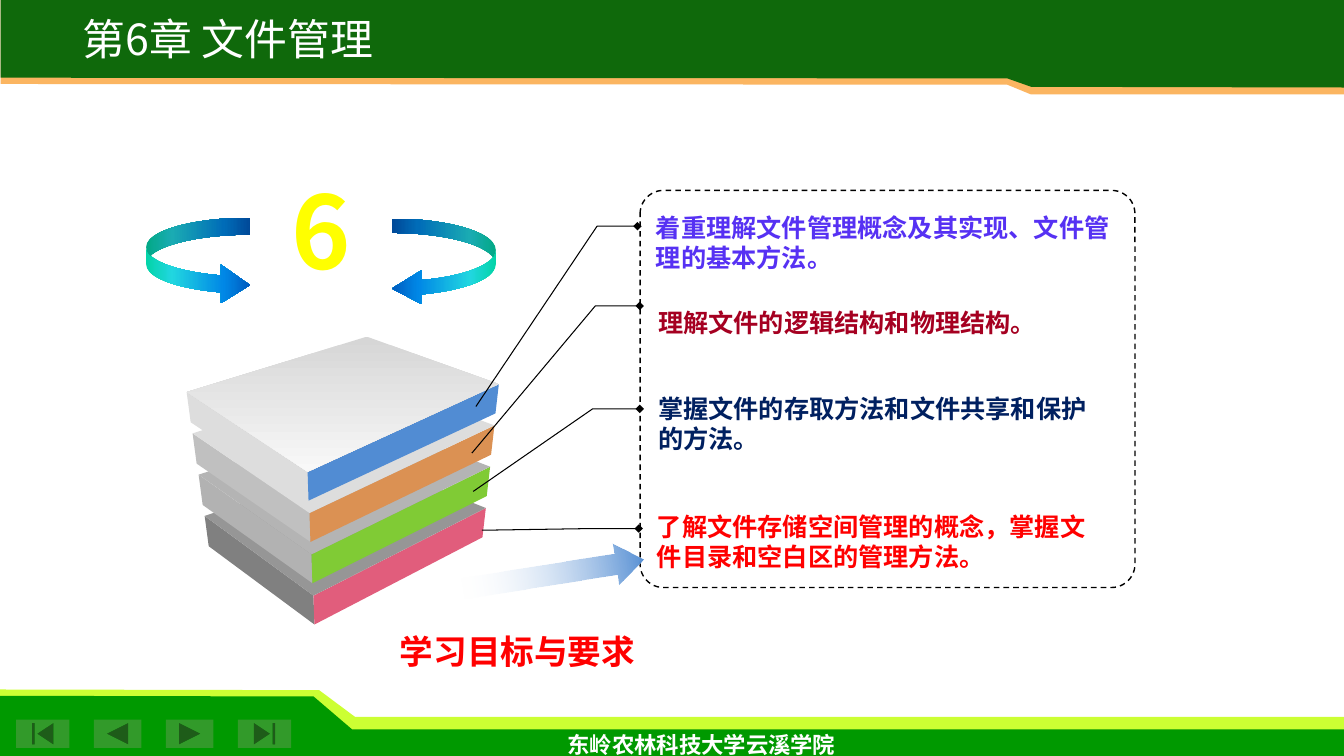
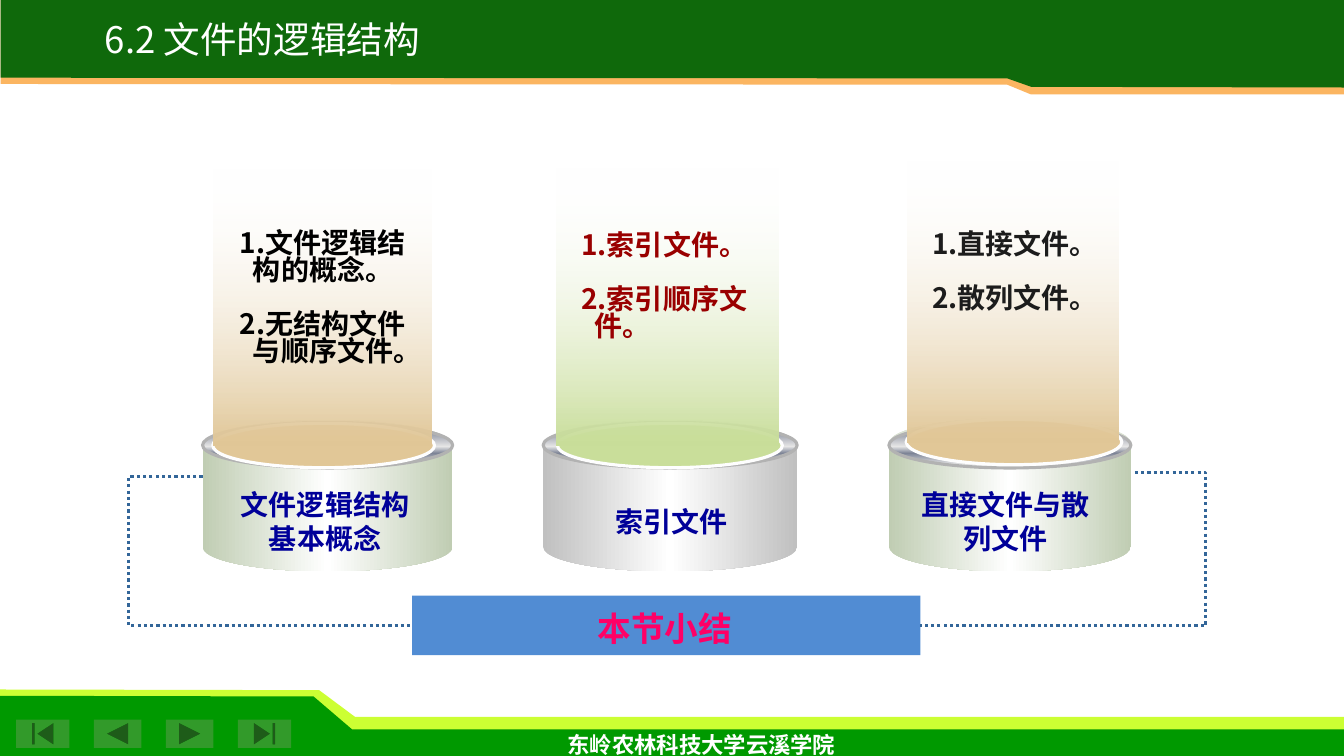
from lxml.etree import SubElement
from pptx import Presentation
from pptx.dml.color import RGBColor
from pptx.enum.dml import MSO_LINE
from pptx.enum.shapes import MSO_CONNECTOR, MSO_SHAPE
from pptx.enum.text import MSO_ANCHOR, PP_ALIGN
from pptx.oxml.ns import qn
from pptx.util import Pt

CJK_FONT = "Noto Sans CJK SC"
BLUE, WHITE, BLACK, RED = "518CD3", "FFFFFF", "000000", "FF0000"
LINE_FACTOR = 1.2

# Shared frame
FOOTER = "东岭农林科技大学云溪学院"
BANDS = [
    ("CCFF33", [(0, 492.5), (228, 493), (253.5, 512), (960, 512), (960, 533), (0, 533)]),
    ("009900", [(0, 497), (224, 497.5), (251.5, 521), (960, 521), (960, 540), (0, 540)]),
    ("FBB561", [(0.5, 0), (960, 0), (960, 67.5), (736.5, 67.5), (719.5, 60.5), (0.5, 60)]),
    ("0F690B", [(0.5, 0), (960, 0), (960, 62.5), (736.5, 62), (719.5, 56), (0.5, 55.5)]),
]
NAV_BUTTONS = [
    (MSO_SHAPE.ACTION_BUTTON_BEGINNING, 11.5, 38),
    (MSO_SHAPE.ACTION_BUTTON_BACK_OR_PREVIOUS, 67, 34),
    (MSO_SHAPE.ACTION_BUTTON_FORWARD_OR_NEXT, 118.5, 34),
    (MSO_SHAPE.ACTION_BUTTON_END, 170, 38),
]

# Slide 1: left, right and top face colours, bottom book first
BOOKS = [
    ("808080", "E15D7C", "969696"),
    ("B2B2B2", "80CB35", "B4B4B4"),
    ("C0C0C0", "DB9153", "DDDDDD"),
    ("DDDDDD", BLUE, [(0, "D6D6D6"), (100, "F8F8F8")]),
]
BOOK_STEP = 29.5
GOALS = [
    ("着重理解文件管理概念及其实现、文件管理的基本方法。", "5631F3",
     (461.5, 152.6, 343.4, 37.4), (0.24, -0.018, 0.24, -0.102, 3.685, -0.354)),
    ("理解文件的逻辑结构和物理结构。", "A50021",
     (463, 209.5, 337.7, 38.2), (0.237, -0.018, 0.237, -0.112, 2.988, -0.373)),
    ("掌握文件的存取方法和文件共享和保护的方法。", "002060",
     (463, 283, 337, 35.3), (0.257, -0.018, 0.257, -0.118, 1.927, -0.371)),
    ("了解文件存储空间管理的概念，掌握文件目录和空白区的管理方法。", RED,
     (462.2, 368.6, 331.2, 32.4), (0.277, -0.018, 0.277, -0.12, 0.314, -0.356)),
]
SWIRL = [(0, "03D4A8"), (25, "21D6E0"), (75, "0087E6"), (100, "005CBF")]
SWIRL_ARROWS = [
    ((104.4, 155.5, 74.2, 62), (0.196, 0.447, 0.336), False),
    ((280, 156.2, 74.2, 62), (0.165, 0.39, 0.339), True),
]

# Slide 2
METAL = [(0, "E6E6E6"), (15, "7D8496"), (53, "E6E6E6"), (68, "7D8496"),
         (93, "E6E6E6"), (100, WHITE)]
COLUMNS = [
    dict(can=(144.7, 300.2, 178.6, 108), edge="C0CDB3", beam="E1C797",
         plug=(152, 302.4, 158.4, 31.7), light=(152.6, 119.5, 155.5, 198.7),
         items=["文件逻辑结构的概念。", "无结构文件与顺序文件。"], ink=BLACK,
         list_box=(164.2, 162, 147.6, 142),
         label="文件逻辑结构基本概念", label_box=(158.4, 345, 147.6, 55)),
    dict(can=(388, 300.2, 181.4, 108), edge="C0C0C0", beam="C9DE9A",
         plug=(398.2, 302.4, 160.6, 31.7), light=(397.4, 119.5, 158.4, 198.7),
         items=["索引文件。", "索引顺序文件。"], ink="990000",
         list_box=(408.2, 163.5, 151.2, 104),
         label="索引文件", label_box=(372.2, 357, 215.3, 32)),
    dict(can=(635, 298.8, 172.8, 109.4), edge="C0CDB3", beam="E1C797",
         plug=(647.3, 299.5, 154, 32.4), light=(648, 114.5, 151.2, 201.6),
         items=["直接文件。", "散列文件。"], ink="1C1C1C",
         list_box=(658.8, 162.7, 136, 104),
         label="直接文件与散列文件", label_box=(642.2, 345, 152.6, 55)),
]
DOTTED_LINKS = [((144.7, 340.6), (294.5, 447), -0.353),
                ((810.7, 337.7), (657.4, 447), -0.33)]


def rgb(color):
    return RGBColor.from_string(color)


def paint(sp, fill=None, line=None, width=1, angle=90):
    """Fill with a hex colour or with (position, colour[, alpha]) stops; outline if given."""
    sp.shadow.inherit = False
    if fill is None:
        sp.fill.background()
    elif isinstance(fill, str):
        sp.fill.solid()
        sp.fill.fore_color.rgb = rgb(fill)
    else:
        sp.fill.gradient()
        grad = sp.element.spPr.find(qn("a:gradFill"))
        stops = grad.find(qn("a:gsLst"))
        for old in list(stops):
            stops.remove(old)
        for position, color, *alpha in fill:
            stop = SubElement(stops, qn("a:gs"), pos=str(position * 1000))
            tint = SubElement(stop, qn("a:srgbClr"), val=color)
            for a in alpha:
                SubElement(tint, qn("a:alpha"), val=str(a * 1000))
        grad.find(qn("a:lin")).set("ang", str(angle * 60000))
    if line:
        sp.line.color.rgb = rgb(line)
        sp.line.width = Pt(width)
    else:
        sp.line.fill.background()


def add_preset(slide, kind, box, fill=None, adj=(), **style):
    sp = slide.shapes.add_shape(kind, *map(Pt, box))
    for i, value in enumerate(adj):
        sp.adjustments[i] = value
    paint(sp, fill, **style)
    return sp


def add_polygon(slide, points, fill):
    first, *rest = [(Pt(x), Pt(y)) for x, y in points]
    builder = slide.shapes.build_freeform(*first)
    builder.add_line_segments(rest, close=True)
    paint(builder.convert_to_shape(), fill)


def write(p, text, size, color, font="Arial", bold=True, align=PP_ALIGN.CENTER,
          factor=LINE_FACTOR):
    p.alignment = align
    p.line_spacing = Pt(size * factor)
    r = p.add_run()
    r.text = text
    r.font.name, r.font.size, r.font.bold = font, Pt(size), bold
    r.font.color.rgb = rgb(color)
    SubElement(r.font._element, qn("a:ea"), typeface=CJK_FONT)


def add_frame(slide, box):
    tf = slide.shapes.add_textbox(*map(Pt, box)).text_frame
    tf.word_wrap = True
    return tf


def add_text(slide, box, text, size, color, **style):
    write(add_frame(slide, box).paragraphs[0], text, size, color, **style)


def add_numbered(slide, box, items, color):
    size, factor = 20, 0.965
    tf = add_frame(slide, box)
    for i, item in enumerate(items):
        p = tf.add_paragraph() if i else tf.paragraphs[0]
        write(p, item, size, color, align=PP_ALIGN.LEFT, factor=factor)
        if i:
            p.space_before = Pt(size * factor)
        props = p._p.get_or_add_pPr()
        props.set("marL", str(Pt(9.4)))
        props.set("indent", str(-Pt(9.4)))
        SubElement(props, qn("a:buFont"), typeface=CJK_FONT)
        SubElement(props, qn("a:buAutoNum"), type="arabicPeriod")


def add_base_slide(prs, title, size, box):
    """Blank slide with the bands, navigation buttons, footer and title."""
    slide = prs.slides.add_slide(prs.slide_layouts[6])
    for color, points in BANDS:
        add_polygon(slide, points, color)
    for kind, x, w in NAV_BUTTONS:
        add_preset(slide, kind, (x, 514, w, 20.2), "329A2A")
    add_text(slide, (298.8, 519, 404.6, 21), FOOTER, 16, WHITE, font="Times New Roman")
    add_text(slide, box, title, size, WHITE, font=CJK_FONT, bold=False)
    return slide


def add_book(slide, level, colors):
    rise = level * BOOK_STEP
    left = (146.2 - 4.3 * level, 368.6 - rise)
    front = (223.9 - 1.4 * level, 425.5 - rise)
    right = (347 + 3.1 * level, 362.9 - rise)
    back = (262, 329 - rise)
    front_low = (front[0] + 0.7, front[1] + 20.6)
    left_low = (left[0] + 2.9, left[1] + 21.6)
    right_low = (right[0] - 2.4, right[1] + 20.9)
    faces = [(left, left_low, front_low, front),
             (front, right, right_low, front_low),
             (front, left, back, right)]
    for points, color in zip(faces, colors):
        add_polygon(slide, points, color)


def add_goal(slide, text, color, box, adj):
    sp = add_preset(slide, MSO_SHAPE.LINE_CALLOUT_2_NO_BORDER, box, adj=adj,
                    line=BLACK, width=0.75)
    SubElement(sp.element.spPr.find(qn("a:ln")), qn("a:headEnd"), type="diamond")
    tf = sp.text_frame
    tf.word_wrap = True
    tf.vertical_anchor = MSO_ANCHOR.MIDDLE
    tf.margin_top = Pt(7.6)
    write(tf.paragraphs[0], text, 18, color, align=PP_ALIGN.LEFT)


def build_goals(prs):
    slide = add_base_slide(prs, "第6章 文件管理", 30.6, (26.6, 5.3, 272, 40))
    for level, colors in enumerate(BOOKS):
        add_book(slide, level, colors)
    panel = add_preset(slide, MSO_SHAPE.ROUNDED_RECTANGLE, (457.2, 136, 353.5, 283.7),
                       WHITE, adj=[0.059], line=BLACK)
    panel.line.dash_style = MSO_LINE.DASH
    for goal in GOALS:
        add_goal(slide, *goal)
    pointer = add_preset(slide, MSO_SHAPE.UP_ARROW, (380.2, 344.9, 29.5, 130.3),
                         [(0, BLUE), (100, WHITE, 0)], adj=(0.502, 0.685))
    pointer.rotation = 81
    add_text(slide, (259.2, 447, 221, 36), "学习目标与要求", 24, RED)
    add_text(slide, (172.8, 117, 113, 94), "6", 72, "FFFF00", font=CJK_FONT)
    for box, adj, flipped in SWIRL_ARROWS:
        arrow = add_preset(slide, MSO_SHAPE.CURVED_RIGHT_ARROW, box, SWIRL, adj, angle=0)
        if flipped:
            arrow.element.spPr.find(qn("a:xfrm")).set("flipH", "1")


def add_dotted_link(slide, start, end, bend):
    link = slide.shapes.add_connector(MSO_CONNECTOR.ELBOW, *map(Pt, start + end))
    link.line.color.rgb = rgb("336699")
    link.line.width = Pt(2.25)
    link.line.dash_style = MSO_LINE.ROUND_DOT
    props = link._element.spPr
    SubElement(props, qn("a:effectLst"))
    guides = props.find(qn("a:prstGeom")).find(qn("a:avLst"))
    SubElement(guides, qn("a:gd"), name="adj1", fmla=f"val {round(bend * 100000)}")


def add_column(slide, col):
    x, _, w, _ = col["can"]
    edge, beam = col["edge"], col["beam"]
    add_preset(slide, MSO_SHAPE.CAN, col["can"],
               [(0, edge), (50, WHITE), (100, edge)], [0.321], angle=0)
    add_preset(slide, MSO_SHAPE.OVAL, (x, 301.7, w, 32.6), METAL, line="B2B2B2", width=2.25)
    add_preset(slide, MSO_SHAPE.OVAL, col["plug"], beam, line="FEFEFE", width=2.25)
    add_preset(slide, MSO_SHAPE.RECTANGLE, col["light"], [(0, WHITE, 0), (100, beam)])
    add_numbered(slide, col["list_box"], col["items"], col["ink"])
    add_text(slide, col["label_box"], col["label"], 20, "000099")


def build_summary(prs):
    slide = add_base_slide(prs, "6.2 文件的逻辑结构", 26.1, (37.4, 8.5, 300.2, 35))
    add_preset(slide, MSO_SHAPE.ROUNDED_RECTANGLE, (294.5, 425.5, 362.9, 42.5), BLUE, [0])
    for link in DOTTED_LINKS:
        add_dotted_link(slide, *link)
    add_text(slide, (338.4, 431, 272.9, 36), "本节小结", 24, "FF0066")
    for col in COLUMNS:
        add_column(slide, col)


def main():
    prs = Presentation()
    prs.slide_width, prs.slide_height = Pt(960), Pt(540)
    build_goals(prs)
    build_summary(prs)
    prs.save("out.pptx")


if __name__ == "__main__":
    main()
